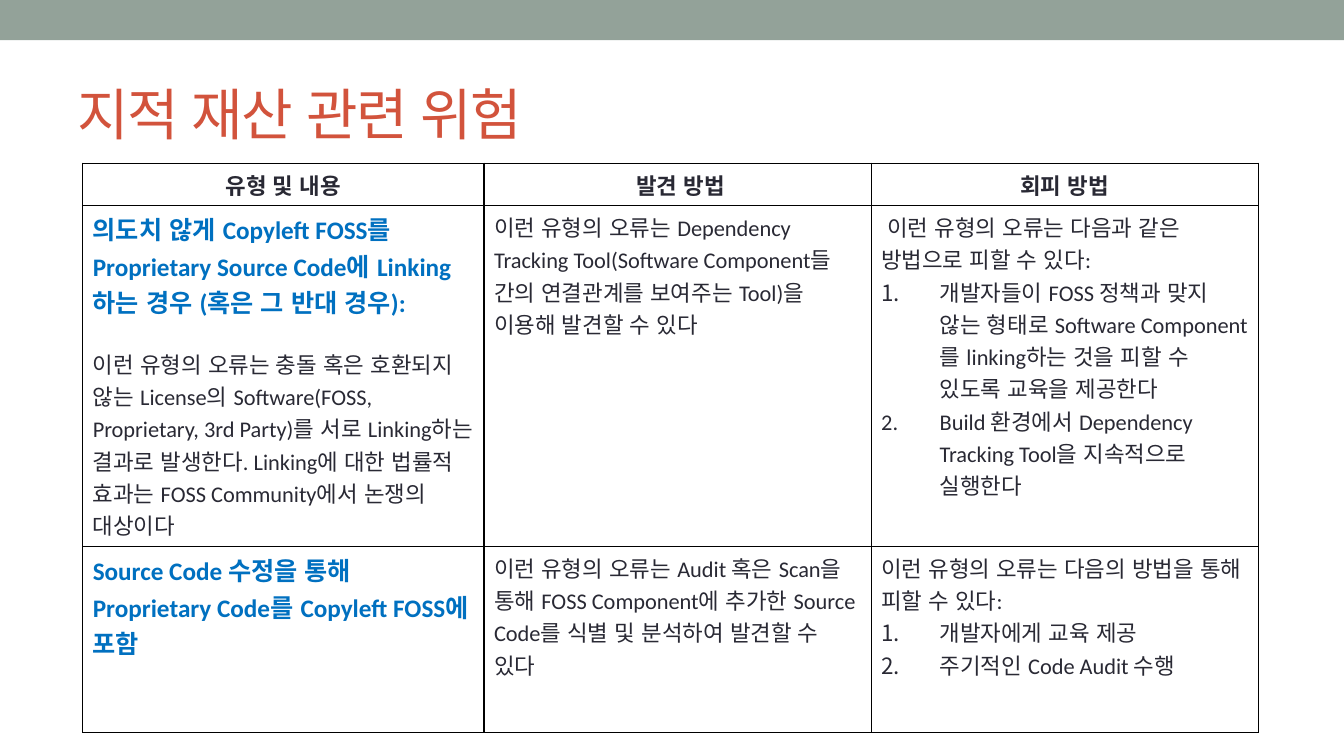
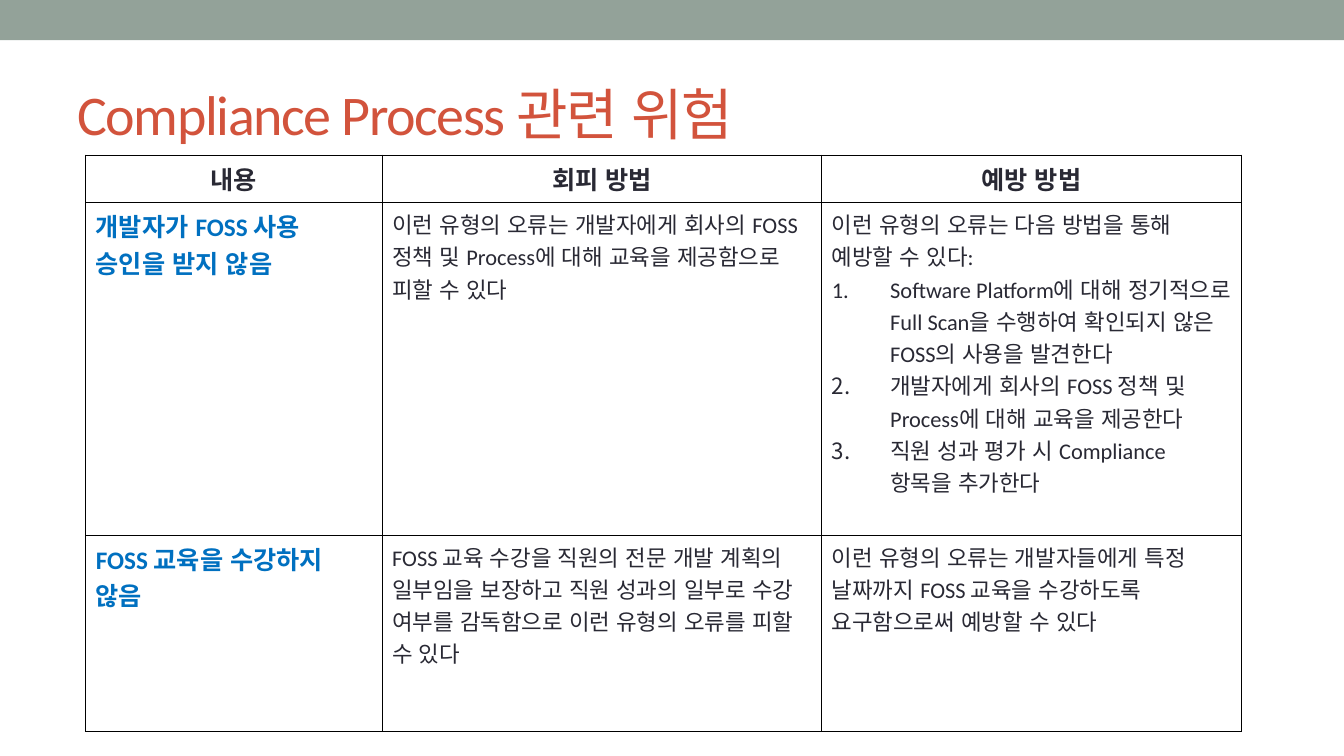
from lxml.etree import SubElement as Sub
from pptx import Presentation
from pptx.dml.color import RGBColor
from pptx.enum.lang import MSO_LANGUAGE_ID as Lang
from pptx.enum.shapes import MSO_SHAPE as Shape
from pptx.enum.text import MSO_ANCHOR as Anchor, PP_ALIGN as Align
from pptx.oxml import parse_xml
from pptx.oxml.ns import nsdecls, qn
from pptx.util import Inches, Pt

SAGE = RGBColor(0x93, 0xA2, 0x99)
RUST = RGBColor(0xD2, 0x53, 0x3C)
INK = RGBColor(0x29, 0x29, 0x34)
BLUE = RGBColor(0x00, 0x70, 0xC0)
BLACK = RGBColor(0, 0, 0)
FONT = "Calibri"
HANG = Inches(0.58)
GAP = Pt(19.5)


class Deck:
    def __init__(self):
        self.prs = Presentation()
        self.prs.slide_width = Inches(13.33)
        self.prs.slide_height = Inches(7.5)
        self.slide = None

    def page(self, title):
        self.slide = self.prs.slides.add_slide(self.prs.slide_layouts[6])
        self.band()
        self.title(title)

    def band(self):
        bar = self.slide.shapes.add_shape(
            Shape.RECTANGLE, 0, 0, self.prs.slide_width, Inches(0.4))
        bar.shadow.inherit = False
        bar.fill.solid()
        bar.fill.fore_color.rgb = SAGE
        bar.line.fill.background()

    def title(self, text):
        box = self.slide.shapes.add_textbox(
            Inches(0.67), Inches(0.58), Inches(12), Inches(1.08))
        frame = box.text_frame
        frame.word_wrap = True
        frame.vertical_anchor = Anchor.MIDDLE
        run = self.run(frame.paragraphs[0], text, 40, RUST)
        run.font._element.set("spc", "-100")

    def run(self, para, text, size, color, bold=False):
        run = para.add_run()
        run.text = text
        font = run.font
        font.name, font.size, font.bold = FONT, Pt(size), bold
        font.color.rgb = color
        font.language_id = Lang.KOREAN
        return run

    def number(self, para):
        props = para._p.get_or_add_pPr()
        props.set("marL", str(HANG))
        props.set("indent", str(-HANG))
        Sub(props, qn("a:buAutoNum"), type="arabicPeriod")

    def border(self, cell):
        props = cell._tc.get_or_add_tcPr()
        for spot, side in enumerate("LRTB"):
            props.insert(spot, parse_xml(
                f'<a:ln{side} {nsdecls("a")} w="{Pt(1)}"><a:solidFill>'
                f'<a:srgbClr val="{BLACK}"/></a:solidFill></a:ln{side}>'))

    def cell(self, cell, parts, head):
        cell.fill.background()
        self.border(cell)
        frame = cell.text_frame
        for i, (kind, text) in enumerate(parts):
            para = frame.paragraphs[0] if i == 0 else frame.add_paragraph()
            if kind == "head":
                para.alignment = Align.CENTER
                self.run(para, text, head, INK, True)
            elif kind == "key":
                self.run(para, text, 18, BLUE, True)
            else:
                if kind == "item":
                    self.number(para)
                elif i:
                    para.space_before = GAP
                self.run(para, text, 16, INK)

    def table(self, left, top, cols, rows, heads, body, head):
        grid = [[[("head", text)] for text in heads]] + body
        table = self.slide.shapes.add_table(
            len(rows), len(cols), Inches(left), Inches(top),
            Inches(sum(cols)), Inches(sum(rows))).table
        table.first_row = table.horz_banding = False
        for col, width in zip(table.columns, cols):
            col.width = Inches(width)
        for row, height, line in zip(table.rows, rows, grid):
            row.height = Inches(height)
            for cell, parts in zip(row.cells, line):
                self.cell(cell, parts, head)


# Table text, one list of (kind, text) per cell
RIGHTS = [
    [
        [("key", "의도치 않게 Copyleft FOSS를 Proprietary Source Code에 "
                 "Linking하는 경우 (혹은 그 반대 경우):"),
         ("text", "이런 유형의 오류는 충돌 혹은 호환되지 않는 License의 "
                  "Software(FOSS, Proprietary, 3rd Party)를 서로 Linking하는 "
                  "결과로 발생한다. Linking에 대한 법률적 효과는 "
                  "FOSS Community에서 논쟁의 대상이다")],
        [("text", "이런 유형의 오류는 Dependency Tracking Tool(Software "
                  "Component들 간의 연결관계를 보여주는 Tool)을 이용해 "
                  "발견할 수 있다")],
        [("text", " 이런 유형의 오류는 다음과 같은 방법으로 피할 수 있다:"),
         ("item", "개발자들이 FOSS 정책과 맞지 않는 형태로 Software "
                  "Component를 linking하는 것을 피할 수 있도록 교육을 제공한다"),
         ("item", "Build 환경에서 Dependency Tracking Tool을 지속적으로 "
                  "실행한다")],
    ],
    [
        [("key", "Source Code 수정을 통해 Proprietary Code를 "
                 "Copyleft FOSS에 포함")],
        [("text", "이런 유형의 오류는 Audit 혹은 Scan을 통해 FOSS Component에 "
                  "추가한 Source Code를 식별 및 분석하여 발견할 수 있다")],
        [("text", "이런 유형의 오류는 다음의 방법을 통해 피할 수 있다:"),
         ("item", "개발자에게 교육 제공"),
         ("item", "주기적인 Code Audit 수행")],
    ],
]
PROCESS = [
    [
        [("key", "개발자가 FOSS 사용 승인을 받지 않음")],
        [("text", "이런 유형의 오류는 개발자에게 회사의 FOSS 정책 및 "
                  "Process에 대해 교육을 제공함으로 피할 수 있다")],
        [("text", "이런 유형의 오류는 다음 방법을 통해 예방할 수 있다:"),
         ("item", "Software Platform에 대해 정기적으로 Full Scan을 수행하여 "
                  "확인되지 않은 FOSS의 사용을 발견한다"),
         ("item", "개발자에게 회사의 FOSS 정책 및 Process에 대해 "
                  "교육을 제공한다"),
         ("item", "직원 성과 평가 시 Compliance 항목을 추가한다")],
    ],
    [
        [("key", "FOSS 교육을 수강하지 않음")],
        [("text", "FOSS 교육 수강을 직원의 전문 개발 계획의 일부임을 보장하고 "
                  "직원 성과의 일부로 수강 여부를 감독함으로 이런 유형의 "
                  "오류를 피할 수 있다")],
        [("text", "이런 유형의 오류는 개발자들에게 특정 날짜까지 FOSS 교육을 "
                  "수강하도록 요구함으로써 예방할 수 있다")],
    ],
]


def main():
    deck = Deck()

    # Intellectual property risks
    deck.page("지적 재산 관련 위험")
    deck.table(0.82, 1.62, [3.98, 3.84, 3.84], [0.42, 3.38, 1.85],
               ["유형 및 내용", " 발견 방법", "회피 방법"], RIGHTS, 16)

    # Compliance process risks
    deck.page("Compliance Process 관련 위험")
    deck.table(0.85, 1.54, [2.94, 4.36, 4.16], [0.47, 3.3, 1.95],
               ["내용", "회피 방법", "예방 방법"], PROCESS, 18)

    deck.prs.save("out.pptx")


if __name__ == "__main__":
    main()
